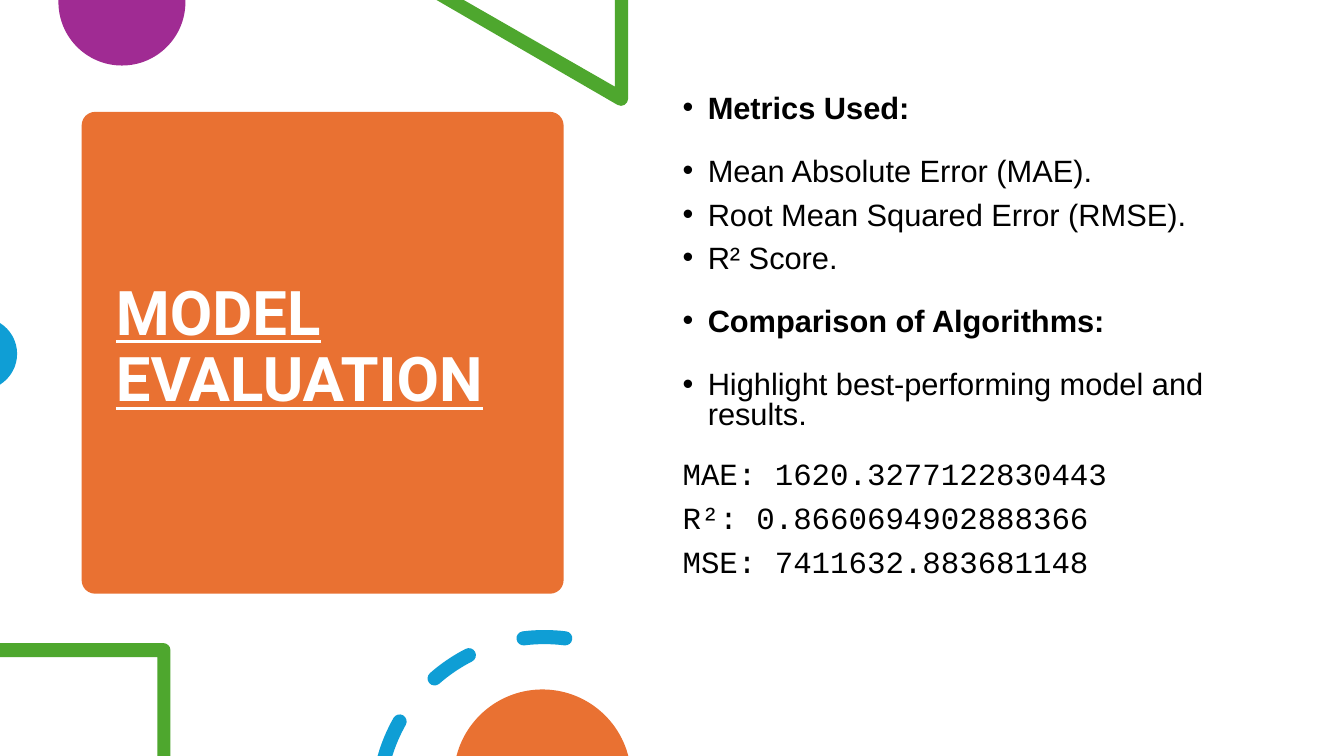
from dataclasses import dataclass
from math import ceil, cos, radians, sin, tan

from lxml.etree import SubElement
from pptx import Presentation
from pptx.dml.color import RGBColor
from pptx.enum.shapes import MSO_SHAPE
from pptx.enum.text import MSO_ANCHOR, MSO_AUTO_SIZE, PP_ALIGN
from pptx.oxml.ns import qn
from pptx.util import Inches, Pt

COLORS = {
    "orange": "E97132", "purple": "A02B93", "green": "4EA72E",
    "blue": "0F9ED5", "white": "FFFFFF", "black": "000000",
}
# A step is one point for a line, or three points for a curve
Step = list[tuple[float, float]]


@dataclass
class Ornament:
    color: str
    contours: list[list[Step]]


@dataclass
class Line:
    text: str
    before: float = 12
    after: float = 0
    bold: bool = False
    bullet: bool = True
    font: str = "Arial"


def lines(*points: tuple[float, float]) -> list[Step]:
    return [[point] for point in points]


def arc(cx: float, cy: float, radius: float, start: float, end: float) -> list[Step]:
    """A line to the start of an arc, then curves; angles run clockwise in degrees."""
    count = ceil(abs(end - start) / 90)
    turn = radians(end - start) / count
    pull = 4 / 3 * tan(turn / 4)

    def spot(a: float, along: float = 0) -> tuple[float, float]:
        return (cx + radius * (cos(a) - along * sin(a)),
                cy + radius * (sin(a) + along * cos(a)))

    angles = [radians(start) + turn * i for i in range(count + 1)]
    return [[spot(angles[0])]] + [[spot(a, pull), spot(b, -pull), spot(b)]
                                  for a, b in zip(angles, angles[1:])]


# Dashed ring: centre, middle radius and half of the stroke
RING_X, RING_Y, RING_R, HALF = 5.4, 7.97, 1.65, 0.07


def cap(angle: float, turn: float) -> list[Step]:
    a = radians(angle)
    return arc(RING_X + RING_R * cos(a), RING_Y + RING_R * sin(a), HALF,
               angle + turn, angle + turn + 180)[1:]


def band(outer_start: float, inner_start: float, end: float) -> list[Step]:
    return (arc(RING_X, RING_Y, RING_R + HALF, outer_start, end) + cap(end, 0)
            + arc(RING_X, RING_Y, RING_R - HALF, end, inner_start)[1:])


def dash(start: float, end: float) -> list[Step]:
    return band(start, start, end) + cap(start, 180)


ORNAMENTS = [
    Ornament("purple", [lines((1.84, 0), (0.58, 0)) + arc(1.21, 0.02, 0.63, 180, 0)]),
    Ornament("green", [lines((6.23, 0), (6.1, 0), (6.1, 0.86), (4.6, 0), (4.33, 0))
                       + arc(6.16, 0.98, 0.07, 120, 0)]),
    Ornament("blue", [arc(-0.19, 3.51, 0.36, -58, 58)]),
    Ornament("green", [lines((0, 6.38)) + arc(1.62, 6.45, 0.07, -90, 0)
                       + lines((1.69, 7.5), (1.56, 7.5), (1.56, 6.52), (0, 6.52))]),
    Ornament("blue", [band(-164.1, -162.7, -150.5), dash(-131.3, -117),
                      dash(-97.2, -82.8)]),
    Ornament("orange", [arc(5.38, 7.72, 0.88, -165.5, -14.5)]),
]

LINES = [
    Line("Metrics Used:", after=12, bold=True),
    Line("Mean Absolute Error (MAE)."),
    Line("Root Mean Squared Error (RMSE).", before=10),
    Line("R² Score.", before=10, after=12),
    Line("Comparison of Algorithms:", after=12, bold=True),
    Line("Highlight best-performing model and results.", after=12),
    Line("MAE: 1620.3277122830443", before=10, bullet=False, font="Courier New"),
    Line("R²: 0.8660694902888366", before=10, bullet=False, font="Courier New"),
    Line("MSE: 7411632.883681148", before=10, bullet=False, font="Courier New"),
]


def paint(sp, color: str) -> None:
    sp.shadow.inherit = False
    sp.fill.solid()
    sp.fill.fore_color.rgb = RGBColor.from_string(COLORS[color])
    sp.line.fill.background()


def draw_ornament(shapes, item: Ornament) -> None:
    builder = None
    for contour in item.contours:
        points = [(Inches(x), Inches(y)) for step in contour for x, y in step]
        if builder is None:
            builder = shapes.build_freeform(*points[0], scale=1.0)
        else:
            builder.move_to(*points[0])
        builder.add_line_segments(points[1:], close=True)
    sp = builder.convert_to_shape()
    paint(sp, item.color)

    # Join each three-point step into one curve
    segments = sp._element.iter(qn("a:lnTo"))
    segments = iter(list(segments))
    for step in [step for contour in item.contours for step in contour[1:]]:
        parts = [next(segments) for _ in step]
        if len(parts) == 3:
            curve = parts[0].makeelement(qn("a:cubicBezTo"))
            parts[0].addprevious(curve)
            for part in parts:
                curve.append(part[0])
                part.getparent().remove(part)


def place(sp, left: float, top: float, width: float, height: float, anchor: MSO_ANCHOR):
    sp.left, sp.top, sp.width, sp.height = map(Inches, (left, top, width, height))
    tf = sp.text_frame
    tf.word_wrap, tf.auto_size, tf.vertical_anchor = True, MSO_AUTO_SIZE.NONE, anchor
    return tf


def write(p, text: str, *, size: float, font: str, color: str, bold: bool = False,
          underline: bool = False, spacing: float = 1, before: float = 0,
          after: float = 0) -> None:
    p.alignment, p.line_spacing = PP_ALIGN.LEFT, spacing
    p.space_before, p.space_after = Pt(before), Pt(after)
    r = p.add_run()
    r.text = text
    r.font.size, r.font.name = Pt(size), font
    r.font.bold, r.font.underline = bold, underline
    r.font.color.rgb = RGBColor.from_string(COLORS[color])


def set_bullet(p, shown: bool) -> None:
    indent = Inches(0.25) if shown else 0
    pPr = p._p.get_or_add_pPr()
    pPr.set("marL", str(indent))
    pPr.set("indent", str(-indent))
    if shown:
        SubElement(pPr, qn("a:buFont")).set("typeface", "Arial")
        SubElement(pPr, qn("a:buChar")).set("char", "•")
    else:
        SubElement(pPr, qn("a:buNone"))


def main() -> None:
    prs = Presentation()
    prs.slide_width, prs.slide_height = Inches(13.33), Inches(7.5)
    s = prs.slides.add_slide(prs.slide_layouts[1])

    # Title card, sent behind the title
    card = s.shapes.add_shape(MSO_SHAPE.ROUNDED_RECTANGLE, Inches(0.81), Inches(1.11),
                              Inches(4.78), Inches(4.78))
    card.adjustments[0] = 0.028
    paint(card, "orange")
    s.shapes.title._element.addprevious(card._element)

    # Title
    tf = place(s.shapes.title, 1.05, 1.22, 4.31, 4.56, MSO_ANCHOR.MIDDLE)
    tf.margin_bottom = Inches(0.13)
    write(tf.paragraphs[0], "MODEL EVALUATION", size=44, font="Roboto", color="white",
          bold=True, underline=True, spacing=0.9)

    # Metrics and results
    tf = place(s.placeholders[1], 6.67, 0.9, 5.75, 5.35, MSO_ANCHOR.TOP)
    for i, line in enumerate(LINES):
        p = tf.add_paragraph() if i else tf.paragraphs[0]
        write(p, line.text, size=22, font=line.font, color="black", bold=line.bold,
              spacing=0.8, before=line.before, after=line.after)
        set_bullet(p, line.bullet)

    # Ornaments along the edges
    for item in ORNAMENTS:
        draw_ornament(s.shapes, item)

    prs.save("out.pptx")


if __name__ == "__main__":
    main()
